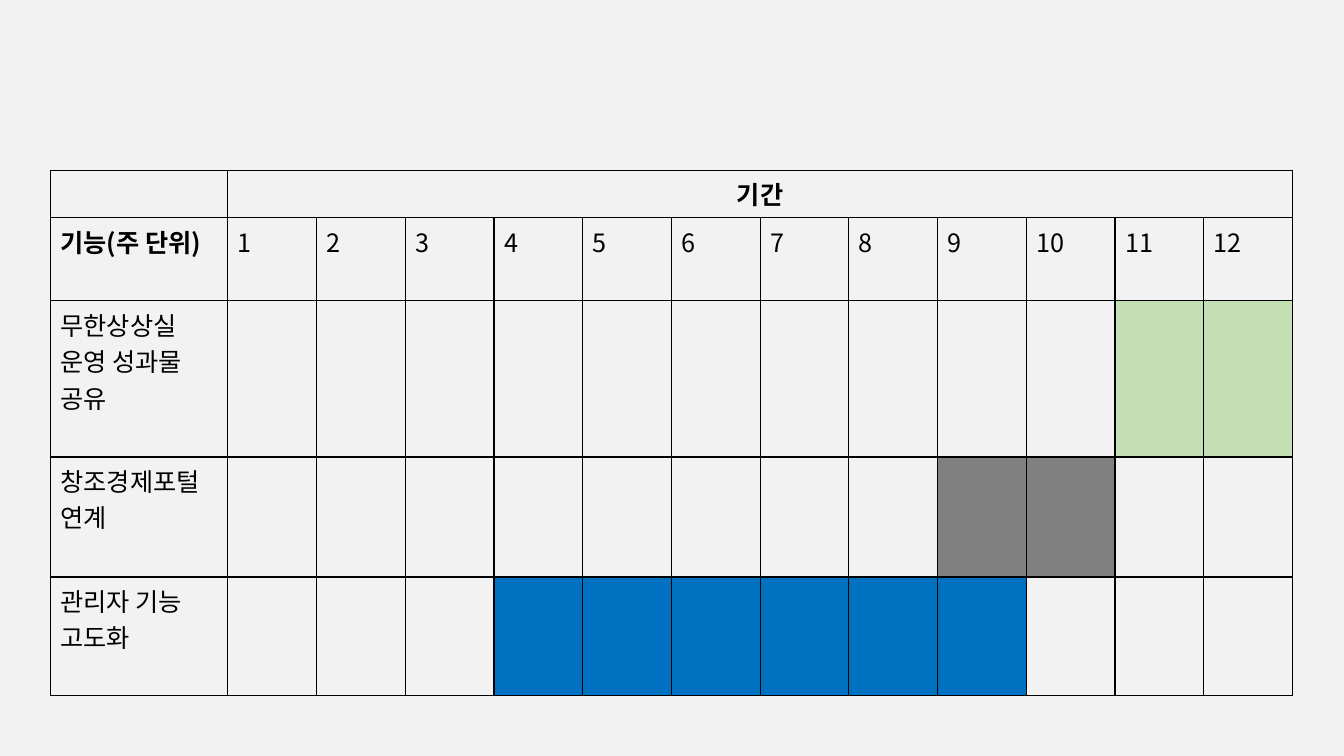
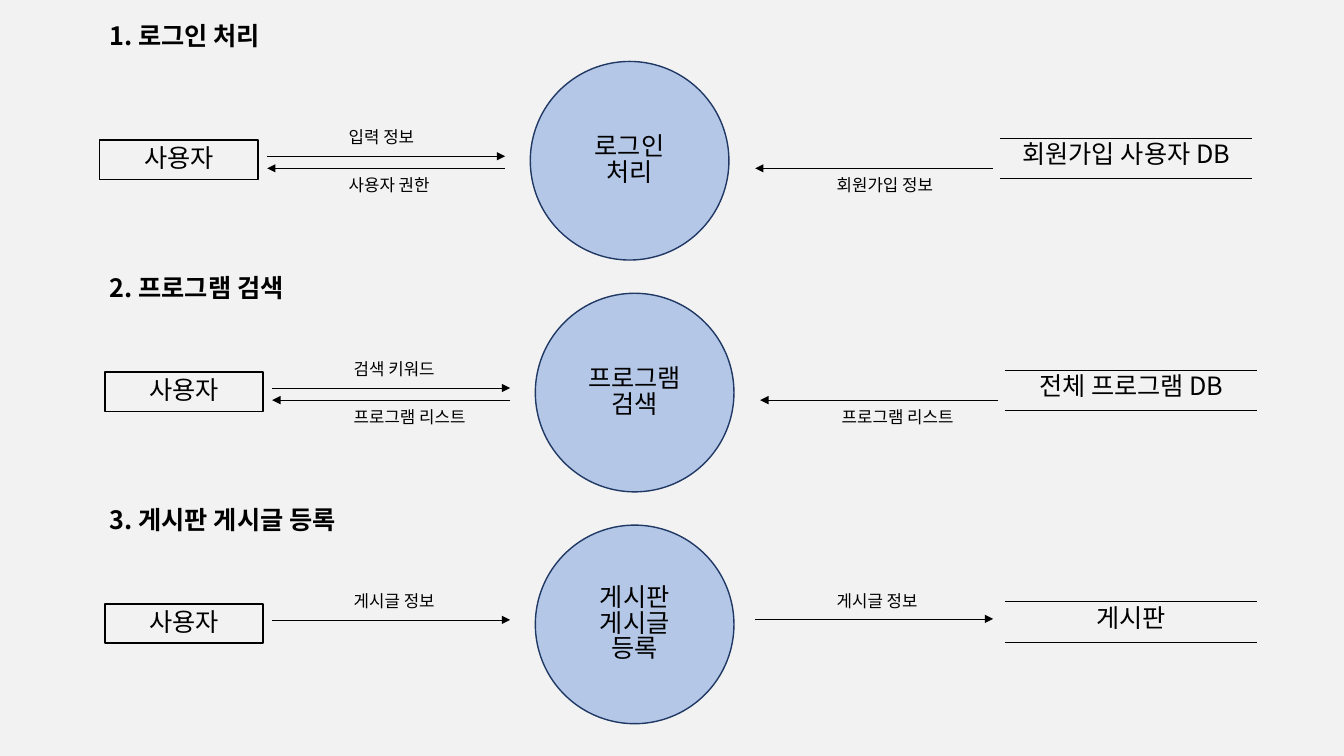
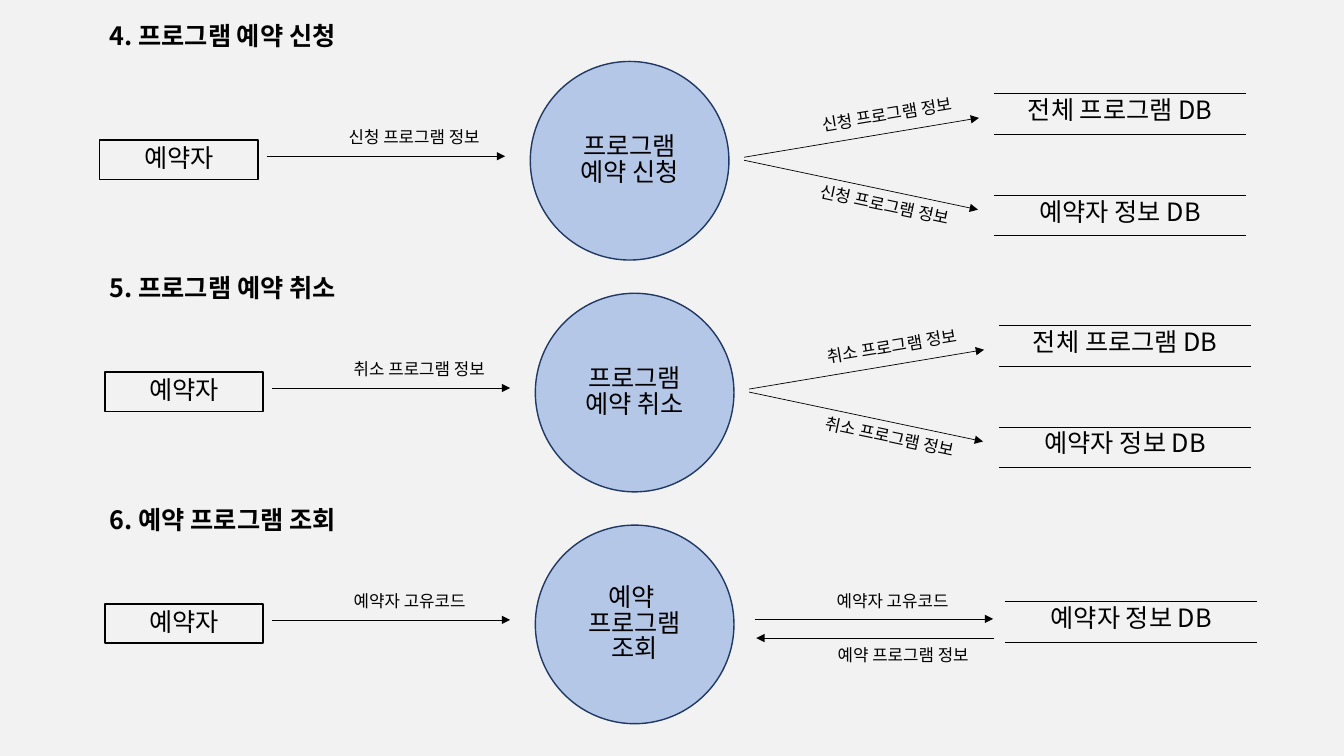
"""Build a project schedule table and two slides of process data flows."""
from lxml import etree
from pptx import Presentation
from pptx.dml.color import RGBColor
from pptx.enum.shapes import MSO_CONNECTOR, MSO_SHAPE
from pptx.enum.text import MSO_ANCHOR, PP_ALIGN
from pptx.oxml import parse_xml
from pptx.oxml.ns import nsdecls, qn
from pptx.util import Inches, Pt

FONT = "Noto Sans CJK KR"
BACKGROUND, BLACK = "F2F2F2", "000000"
CIRCLE_FILL, CIRCLE_LINE = "B4C7E7", "203864"
GREEN, GRAY, BLUE = "C5E0B4", "808080", "0070C0"


def paint(fill, color):
    fill.solid()
    fill.fore_color.rgb = RGBColor.from_string(color)


def write(frame, lines, size=18, bold=False, align=PP_ALIGN.LEFT, spacing=0.85):
    frame.word_wrap = True
    for index, line in enumerate(lines):
        paragraph = frame.paragraphs[0] if index == 0 else frame.add_paragraph()
        for name, value in {"alignment": align, "line_spacing": spacing}.items():
            setattr(paragraph, name, value)
        run = paragraph.add_run()
        run.text = line
        for name, value in {"size": Pt(size), "bold": bold, "name": FONT}.items():
            setattr(run.font, name, value)
        paint(run.font.fill, BLACK)
        etree.SubElement(run.font._element, qn("a:ea"), typeface=FONT)


presentation = Presentation()
presentation.slide_width = Inches(13.33)
presentation.slide_height = Inches(7.5)
slides = []
for number in range(3):
    slide = presentation.slides.add_slide(presentation.slide_layouts[6])
    paint(slide.background.fill, BACKGROUND)
    slides.append(slide)

ROW_HEIGHTS = [0.47, 0.82, 1.55, 1.19, 1.18]
COLUMN_WIDTHS = [1.76] + [0.88] * 12
TASKS = [
    (["무한상상실 운영 성과물 공유"], GREEN, range(11, 13)),
    (["창조경제포털", "연계"], GRAY, range(9, 11)),
    (["관리자 기능 고도화"], BLUE, range(4, 10)),
]

table = slides[0].shapes.add_table(
    len(ROW_HEIGHTS), len(COLUMN_WIDTHS), Inches(0.5), Inches(1.69),
    Inches(12.33), Inches(sum(ROW_HEIGHTS))).table
table.first_row = table.horz_banding = False
for row, height in zip(table.rows, ROW_HEIGHTS):
    row.height = Inches(height)
for column, width in zip(table.columns, COLUMN_WIDTHS):
    column.width = Inches(width)
for cell in table.iter_cells():
    paint(cell.fill, BACKGROUND)
    for index, side in enumerate(["lnL", "lnR", "lnT", "lnB"]):
        cell._tc.tcPr.insert(index, parse_xml(
            f'<a:{side} {nsdecls("a")} w="12700"><a:solidFill>'
            f'<a:srgbClr val="{BLACK}"/></a:solidFill></a:{side}>'))

table.cell(0, 1).merge(table.cell(0, 12))
write(table.cell(0, 1).text_frame, ["기간"], bold=True, align=PP_ALIGN.CENTER, spacing=1.0)
write(table.cell(1, 0).text_frame, ["기능(주 단위)"], bold=True, spacing=1.0)
for week in range(1, 13):
    write(table.cell(1, week).text_frame, [str(week)], spacing=1.0)
for row_index, (task, color, weeks) in enumerate(TASKS, start=2):
    write(table.cell(row_index, 0).text_frame, task, spacing=1.0)
    for week in weeks:
        paint(table.cell(row_index, week).fill, color)

ROWS = [(0, 0, 0.2), (0.05, 2.3, 2.7), (0.05, 4.6, 5.0)]
FLOWS = {
    "request": (2.65, 1.55, 5.01, 1.55, 3.36, 1.24, 0),
    "reply": (5.01, 1.67, 2.65, 1.67, 3.36, 1.72, 0),
    "load": (9.85, 1.67, 7.49, 1.67, 8.2, 1.72, 0),
    "save": (7.44, 1.54, 9.8, 1.54, 8.15, 1.24, 0),
    "result": (9.81, 1.73, 7.45, 1.73, 8.16, 1.78, 0),
    "save up": (7.38, 1.56, 9.71, 1.17, 8.05, 1.0, -9.6),
    "save down": (7.38, 1.59, 9.7, 2.08, 8.02, 1.93, 12),
}
STORES = {"middle": (9.92, 1.37), "upper": (9.86, 0.93), "lower": (9.86, 1.94)}
STORE_WIDTH, STORE_HEIGHT = 2.5, 0.4
PROCESSES = [
    [
        ("1. 로그인 처리", 1.97, "사용자", ["로그인", "처리"],
         {"request": "입력 정보", "reply": "사용자 권한", "load": "회원가입 정보"},
         {"middle": "회원가입 사용자 DB"}),
        ("2. 프로그램 검색", 2.19, "사용자", ["프로그램", "검색"],
         {"request": "검색 키워드", "reply": "프로그램 리스트", "load": "프로그램 리스트"},
         {"middle": "전체 프로그램 DB"}),
        ("3. 게시판 게시글 등록", 2.78, "사용자", ["게시판", "게시글", "등록"],
         {"request": "게시글 정보", "save": "게시글 정보"},
         {"middle": "게시판"}),
    ],
    [
        ("4. 프로그램 예약 신청", 2.87, "예약자", ["프로그램", "예약 신청"],
         {"request": "신청 프로그램 정보", "save up": "신청 프로그램 정보",
          "save down": "신청 프로그램 정보"},
         {"upper": "전체 프로그램 DB", "lower": "예약자 정보 DB"}),
        ("5. 프로그램 예약 취소", 2.78, "예약자", ["프로그램", "예약 취소"],
         {"request": "취소 프로그램 정보", "save up": "취소 프로그램 정보",
          "save down": "취소 프로그램 정보"},
         {"upper": "전체 프로그램 DB", "lower": "예약자 정보 DB"}),
        ("6. 예약 프로그램 조회", 2.78, "예약자", ["예약 ", "프로그램 조회"],
         {"request": "예약자 고유코드", "save": "예약자 고유코드",
          "result": "예약 프로그램 정보"},
         {"middle": "예약자 정보 DB"}),
    ],
]

for slide, processes in zip(slides[1:], PROCESSES):
    for (shift, drop, title_top), process in zip(ROWS, processes):
        title, title_width, actor, circle_lines, flows, stores = process
        texts = [(0.99, title_top, title_width, 0.4, 0, title, {"bold": True})]
        lines = []
        for kind, label in flows.items():
            x1, y1, x2, y2, left, top, angle = FLOWS[kind]
            lines.append((x1, y1, x2, y2, True))
            spaces = label.count(" ")
            width = 0.2 + 0.17 * (len(label) - spaces) + 0.05 * spaces
            texts.append((left + shift, top + drop, width, 0.3, angle, label, {"size": 12}))
        for place, label in stores.items():
            left, top = STORES[place]
            for y in (top, top + STORE_HEIGHT):
                lines.append((left, y, left + STORE_WIDTH, y, False))
            texts.append((left + shift, top + drop, STORE_WIDTH, STORE_HEIGHT, 0, label,
                          {"align": PP_ALIGN.CENTER}))

        for preset, left, top, width, height, fill, outline, content in [
            (MSO_SHAPE.RECTANGLE, 0.99, 1.39, 1.57, 0.39, BACKGROUND, BLACK, [actor]),
            (MSO_SHAPE.OVAL, 5.26, 0.61, 1.97, 1.97, CIRCLE_FILL, CIRCLE_LINE, circle_lines),
        ]:
            shape = slide.shapes.add_shape(
                preset, Inches(left + shift), Inches(top + drop), Inches(width), Inches(height))
            shape.shadow.inherit = False
            paint(shape.fill, fill)
            paint(shape.line.fill, outline)
            shape.line.width = Pt(1)
            shape.text_frame.vertical_anchor = MSO_ANCHOR.MIDDLE
            write(shape.text_frame, content, align=PP_ALIGN.CENTER)

        for x1, y1, x2, y2, arrow in lines:
            connector = slide.shapes.add_connector(
                MSO_CONNECTOR.STRAIGHT, Inches(x1 + shift), Inches(y1 + drop),
                Inches(x2 + shift), Inches(y2 + drop))
            paint(connector.line.fill, BLACK)
            connector.line.width = Pt(0.5)
            if arrow:
                etree.SubElement(connector.line._get_or_add_ln(), qn("a:tailEnd"), type="triangle")
            etree.SubElement(connector._element.spPr, qn("a:effectLst"))

        for left, top, width, height, angle, text, style in texts:
            box = slide.shapes.add_textbox(
                Inches(left), Inches(top), Inches(width), Inches(height))
            box.rotation = angle
            write(box.text_frame, [text], **style)

presentation.save("out.pptx")
